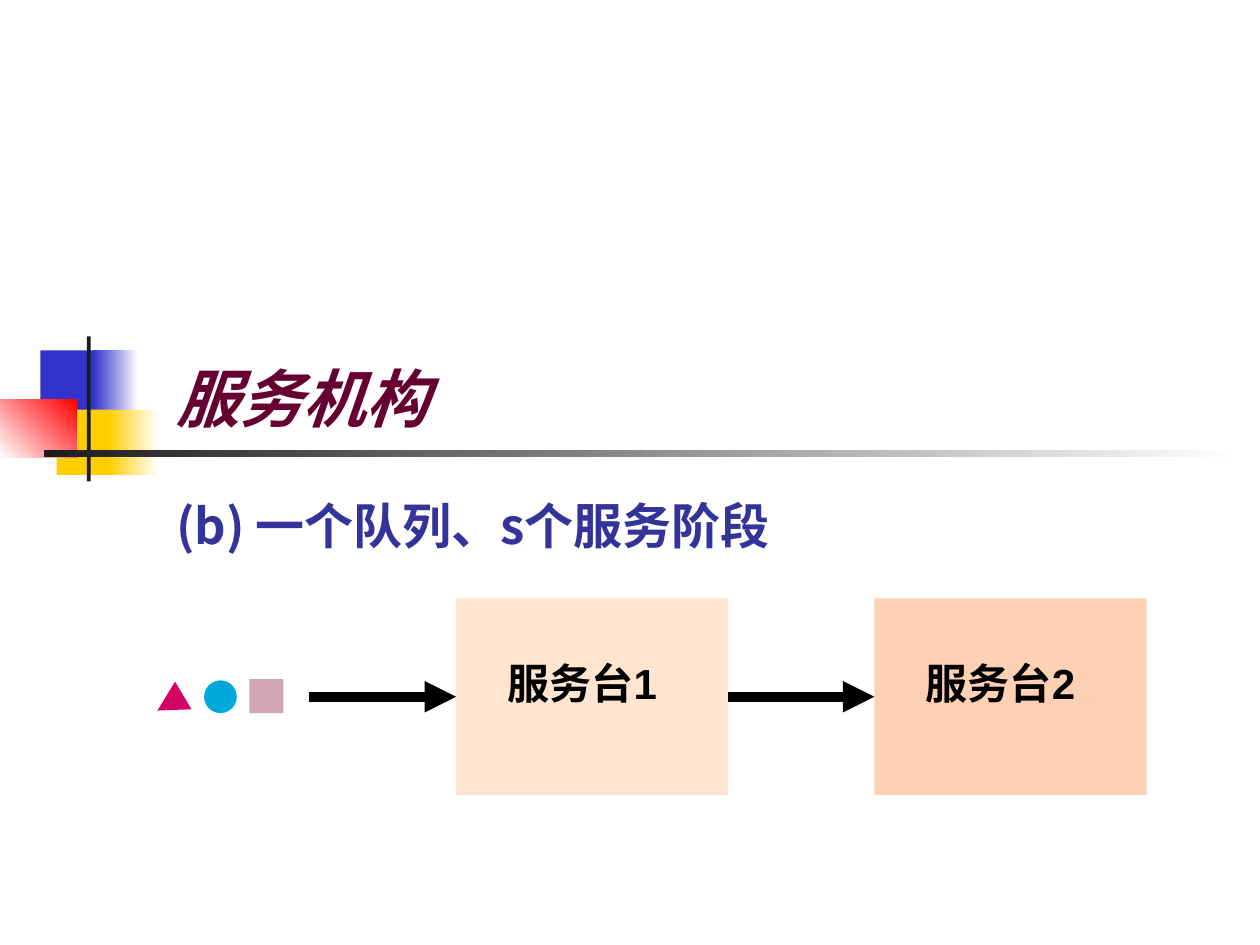
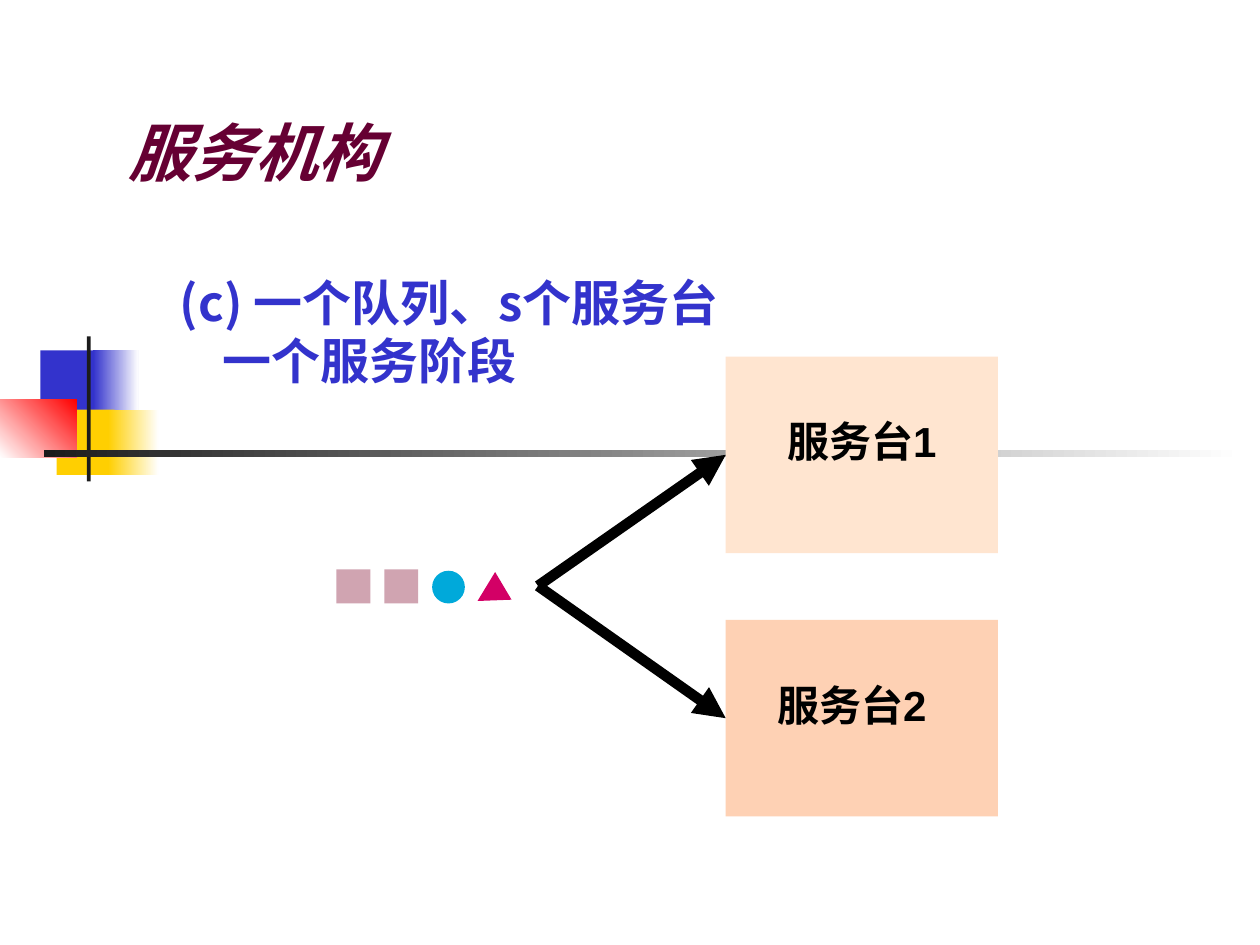
from dataclasses import dataclass

from lxml.etree import SubElement
from pptx import Presentation
from pptx.dml.color import RGBColor
from pptx.enum.shapes import MSO_CONNECTOR as Connector, MSO_SHAPE as Shape
from pptx.enum.text import MSO_ANCHOR as Anchor, PP_ALIGN as Align
from pptx.oxml.ns import qn
from pptx.util import Inches, Pt


@dataclass(frozen=True)
class Theme:
    blue: str = "3333CC"
    yellow: str = "FFCF01"
    red: str = "FF0000"
    white: str = "FFFFFF"
    dark: str = "1C1C1C"
    black: str = "000000"
    title: str = "660033"
    stages_caption: str = "333399"
    circle: str = "00A9DA"
    triangle: str = "D30066"
    square: str = "D0A4B1"
    desk_1: str = "FFE5D0"
    desk_2: str = "FED1B4"
    title_size: int = 36
    caption_size: int = 28
    label_size: int = 24
    arrow_width: int = 6
    title_font: str = "Roboto"
    label_font: str = "Arial"
    chinese_font: str = "Noto Sans CJK SC"
    leading: float = 1.2


THEME = Theme()
DESK_WIDTH, DESK_HEIGHT = 2.16, 1.56
LEFT_SIDE, RIGHT_SIDE = 1, 3


def rgb(color):
    return RGBColor.from_string(color)


def finish(shape, color):
    shape.shadow.inherit = False
    shape.fill.solid()
    shape.fill.fore_color.rgb = rgb(color)
    shape.line.fill.background()
    return shape


def add_block(slide, left, top, width, height, color, kind=Shape.RECTANGLE):
    block = slide.shapes.add_shape(
        kind, Inches(left), Inches(top), Inches(width), Inches(height))
    return finish(block, color)


def add_fade(slide, left, top, width, height, start, end, angle=0):
    fade = add_block(slide, left, top, width, height, start)
    fade.fill.gradient()
    fade.fill.gradient_angle = angle
    for stop, color in zip(fade.fill.gradient_stops, (start, end)):
        stop.color.rgb = rgb(color)
    return fade


def style_text(paragraph, font, size, color, italic=False):
    for run in paragraph.runs:
        run.font.name = font
        run.font.size = Pt(size)
        run.font.bold = True
        run.font.italic = italic
        run.font.color.rgb = rgb(color)
        east_asian = SubElement(run.font._element, qn("a:ea"))
        east_asian.set("typeface", THEME.chinese_font)


def add_text(slide, left, top, width, height, text, font, size, color,
             align=Align.LEFT):
    box = slide.shapes.add_textbox(
        Inches(left), Inches(top), Inches(width), Inches(height))
    frame = box.text_frame
    frame.word_wrap = True
    frame.margin_top = Inches(0.08)
    frame.text = text
    for paragraph in frame.paragraphs:
        paragraph.alignment = align
        paragraph.line_spacing = Pt(size * THEME.leading)
        style_text(paragraph, font, size, color)
    return frame


def add_caption(slide, left, top, width, height, text, color):
    return add_text(slide, left, top, width, height, text,
                    THEME.chinese_font, THEME.caption_size, color)


def add_desk(slide, left, top, label, color, align=Align.LEFT):
    desk = add_block(slide, left, top, DESK_WIDTH, DESK_HEIGHT, color)
    add_text(slide, left + 0.31, top + 0.39, 1.54, 0.5, label,
             THEME.label_font, THEME.label_size, THEME.black, align)
    return desk


def add_arrow(slide, start, end, source=None, target=None):
    arrow = slide.shapes.add_connector(
        Connector.STRAIGHT, *map(Inches, start), *map(Inches, end))
    if source is not None:
        arrow.begin_connect(source, RIGHT_SIDE)
    if target is not None:
        arrow.end_connect(target, LEFT_SIDE)
    arrow.line.color.rgb = rgb(THEME.black)
    arrow.line.width = Pt(THEME.arrow_width)
    SubElement(arrow.line._get_or_add_ln(), qn("a:tailEnd")).set("type", "triangle")
    SubElement(arrow._element.spPr, qn("a:effectLst"))


# Customers waiting in the queue
def add_square(slide, left, top):
    add_block(slide, left, top, 0.27, 0.27, THEME.square)


def add_circle(slide, left, top):
    add_block(slide, left, top + 0.01, 0.26, 0.26, THEME.circle, Shape.OVAL)


def add_triangle(slide, left, top):
    corners = [(left, top + 0.25), (left + 0.14, top + 0.02),
               (left + 0.27, top + 0.24)]
    points = [(Inches(x), Inches(y)) for x, y in corners]
    outline = slide.shapes.build_freeform(*points[0])
    outline.add_line_segments(points[1:], close=True)
    finish(outline.convert_to_shape(), THEME.triangle)


def add_queue(slide, top, customers):
    for add_customer, left in customers:
        add_customer(slide, left, top)


def add_emblem(slide, layout):
    """Draw the shared emblem and rule, then move them to the layout."""
    emblem = [
        add_block(slide, 0.32, 2.78, 0.48, 0.52, THEME.blue),
        add_fade(slide, 0.74, 2.78, 0.36, 0.52, THEME.blue, THEME.white),
        add_block(slide, 0.45, 3.25, 0.46, 0.52, THEME.yellow),
        add_fade(slide, 0.86, 3.25, 0.4, 0.52, THEME.yellow, THEME.white),
        add_fade(slide, 0, 3.17, 0.61, 0.46, THEME.white, THEME.red, 45),
        add_block(slide, 0.69, 2.67, 0.03, 1.15, THEME.dark),
        add_fade(slide, 0.35, 3.57, 9.51, 0.06, THEME.dark, THEME.white),
    ]
    for part in emblem:
        layout.shapes.element.append(part.element)


def add_titled_slide(deck, layout, left, top):
    slide = deck.slides.add_slide(layout)
    title = slide.shapes.title
    title.left, title.top = Inches(left), Inches(top)
    title.width, title.height = Inches(3.54), Inches(0.9)
    title.text_frame.text = "服务机构"
    title.text_frame.vertical_anchor = Anchor.MIDDLE
    heading = title.text_frame.paragraphs[0]
    heading.alignment = Align.LEFT
    style_text(heading, THEME.title_font, THEME.title_size, THEME.title, italic=True)
    return slide


def build_serial_stages(slide):
    add_queue(slide, 5.39, [(add_triangle, 1.25), (add_circle, 1.62),
                            (add_square, 1.98)])
    first = add_desk(slide, 3.62, 4.75, "服务台1", THEME.desk_1)
    second = add_desk(slide, 6.94, 4.75, "服务台2", THEME.desk_2)
    middle = 4.75 + DESK_HEIGHT / 2
    add_arrow(slide, (2.45, middle), (3.62, middle), target=first)
    add_arrow(slide, (5.78, middle), (6.94, middle), first, second)
    add_caption(slide, 1.3, 3.85, 5.09, 0.57, "(b) 一个队列、s个服务阶段",
                THEME.stages_caption)


def build_parallel_desks(slide):
    first = add_desk(slide, 5.76, 2.83, "服务台1", THEME.desk_1, Align.CENTER)
    second = add_desk(slide, 5.76, 4.92, "服务台2", THEME.desk_2)
    for desk, middle in ((second, 5.7), (first, 3.61)):
        add_arrow(slide, (4.27, 4.65), (5.76, middle), target=desk)
    add_queue(slide, 4.52, [(add_square, 2.67), (add_square, 3.05),
                            (add_circle, 3.43), (add_triangle, 3.79)])
    caption = add_caption(slide, 1.33, 2.08, 4.7, 1.03,
                          "(c) 一个队列、s个服务台\n一个服务阶段", THEME.blue)
    stage_line = caption.paragraphs[1]
    stage_line._p.get_or_add_pPr().set("marL", str(Inches(0.34)))


def main():
    deck = Presentation()
    deck.slide_width, deck.slide_height = Inches(10), Inches(7.5)
    layout = deck.slide_layouts.get_by_name("Title Only")

    # One queue, several service stages
    stages = add_titled_slide(deck, layout, 1.3, 2.7)
    add_emblem(stages, layout)
    build_serial_stages(stages)

    # One queue, several desks, one stage
    desks = add_titled_slide(deck, layout, 0.92, 0.75)
    build_parallel_desks(desks)

    deck.save("out.pptx")


if __name__ == "__main__":
    main()
